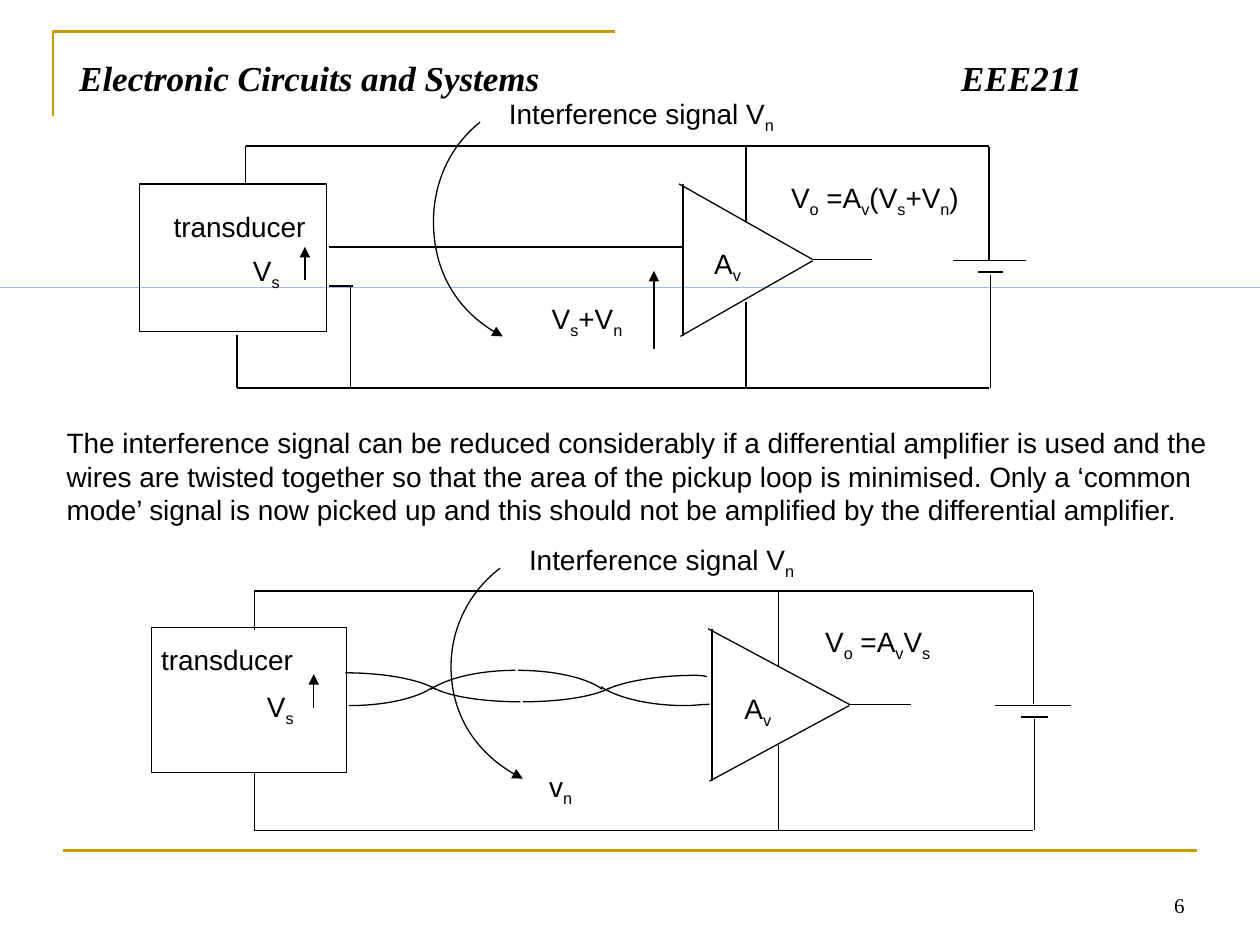
import pptx
import pptx.util
import pptx.dml.color
import pptx.enum.shapes
import pptx.enum.text
import pptx.oxml
import pptx.oxml.ns
from pptx.util import Inches

INK = "000000"
GOLD = "CC9900"
BODY = (
    "The interference signal can be reduced considerably if a differential amplifier is used "
    "and the wires are twisted together so that the area of the pickup loop is minimised. "
    "Only a ‘common mode’ signal is now picked up and this should not be amplified by the "
    "differential amplifier."
)
LOOPS = [
    {
        "top": 1.16, "bot": 3.08, "box": (1.11, 1.46, 1.48, 1.17),
        "leads": (1.95, 1.88, 2.66), "amp": (5.42, 6.45), "out": 6.92,
        "feed": 5.92, "cell": (7.85, 0.29, 0.1),
        "wires": [(5.42, 1.96, 2.61, 1.96), (2.61, 2.27, 2.8, 2.27), (2.78, 2.28, 2.78, 3.08)],
        "arrows": [(2.42, 2.22, 2.42, 1.96), (5.19, 2.77, 5.19, 2.15)],
        "sweep": [(3.81, 0.97), (3.57, 1.16), (3.44, 1.45), (3.44, 1.76),
                  (3.44, 2.15), (3.65, 2.5), (3.99, 2.67)],
        "twists": [],
        "labels": [
            ("transducer", 1.28, 1.61, 1.29), ("V|s", 1.91, 1.96, 0.47),
            ("Interference signal V|n", 3.94, 0.72, 2.44), ("V|s|+V|n", 4.28, 2.34, 0.9),
            ("V|o| =A|v|(V|s|+V|n|)", 6.18, 1.38, 1.89), ("A|v", 5.57, 1.91, 0.42),
        ],
    },
    {
        "top": 4.69, "bot": 6.59, "box": (1.2, 4.98, 1.55, 1.15),
        "leads": (2.02, 2.02, 6.13), "amp": (5.65, 6.74), "out": 7.23,
        "feed": 6.18, "cell": (8.2, 0.3, 0.11),
        "wires": [],
        "arrows": [(2.49, 5.62, 2.49, 5.35)],
        "sweep": [(3.97, 4.51), (3.72, 4.7), (3.58, 4.99), (3.58, 5.29),
                  (3.58, 5.67), (3.8, 6.01), (4.15, 6.18)],
        "twists": [
            [(2.77, 5.6), (3.06, 5.6), (3.32, 5.54), (3.44, 5.45)],
            [(4.11, 5.32), (4.4, 5.32), (4.66, 5.38), (4.78, 5.47)],
            [(4.09, 5.32), (3.81, 5.32), (3.55, 5.38), (3.42, 5.47)],
            [(5.63, 5.59), (5.57, 5.59), (5.51, 5.6), (5.44, 5.6),
             (5.16, 5.6), (4.9, 5.54), (4.77, 5.45)],
            [(2.74, 5.34), (3.04, 5.34), (3.32, 5.39), (3.46, 5.47)],
            [(4.15, 5.57), (4.44, 5.57), (4.71, 5.53), (4.84, 5.46)],
            [(4.13, 5.57), (3.84, 5.57), (3.57, 5.53), (3.44, 5.46)],
            [(5.61, 5.37), (5.57, 5.36), (5.54, 5.36), (5.51, 5.36),
             (5.22, 5.36), (4.95, 5.41), (4.82, 5.47)],
        ],
        "labels": [
            ("transducer", 1.18, 5.05, 1.35), ("V|s", 2.02, 5.42, 0.49),
            ("Interference signal V|n", 4.1, 4.26, 2.55), ("v|n", 4.26, 6.06, 0.81),
            ("V|o| =A|v|V|s", 6.45, 4.91, 1.98), ("A|v", 5.81, 5.44, 0.44),
        ],
    },
]

prs = pptx.Presentation()
prs.slide_width, prs.slide_height = Inches(10), Inches(7.5)
slide = prs.slides.add_slide(prs.slide_layouts[6])
shapes = slide.shapes


def color(code):
    return pptx.dml.color.RGBColor.from_string(code)


def add(parent, tag, **attrs):
    node = pptx.oxml.parse_xml(f"<a:{tag} {pptx.oxml.ns.nsdecls('a')}/>")
    for key, val in attrs.items():
        node.set(key, val)
    parent.append(node)
    return node


def stroke(shape, hue=INK, width=0.75, arrow=False):
    shape.line.color.rgb = color(hue)
    shape.line.width = pptx.util.Pt(width)
    if arrow:
        add(shape.line._get_or_add_ln(), "tailEnd", type="triangle")


def wire(x1, y1, x2, y2, **style):
    line = shapes.add_connector(
        pptx.enum.shapes.MSO_CONNECTOR.STRAIGHT, *map(Inches, (x1, y1, x2, y2)))
    stroke(line, **style)
    add(line._element.spPr, "effectLst")


def outline(points, curved=False, **style):
    spots = [(Inches(x), Inches(y)) for x, y in points]
    pen = shapes.build_freeform(*spots[0])
    pen.add_line_segments(spots[1:], close=False)
    shape = pen.convert_to_shape()
    shape.shadow.inherit = False
    shape.fill.background()
    stroke(shape, **style)
    if curved:
        track = shape._element.find(".//" + pptx.oxml.ns.qn("a:path"))
        steps = track.findall(pptx.oxml.ns.qn("a:lnTo"))
        for i in range(0, len(steps), 3):
            bend = add(track, "cubicBezTo")
            for step in steps[i:i + 3]:
                bend.append(step[0])
                track.remove(step)


def block(x, y, wide, high, fill=None):
    shape = shapes.add_shape(
        pptx.enum.shapes.MSO_SHAPE.RECTANGLE, *map(Inches, (x, y, wide, high)))
    shape.shadow.inherit = False
    if fill:
        shape.fill.solid()
        shape.fill.fore_color.rgb = color(fill)
        shape.line.fill.background()
    else:
        shape.fill.background()
        stroke(shape)


def write(text, x, y, wide, high=0.32, size=16, face="Arial", bold=False,
          right=False, low=False, tab=None):
    frame = shapes.add_textbox(*map(Inches, (x, y, wide, high))).text_frame
    frame.word_wrap = True
    anchor = pptx.enum.text.MSO_ANCHOR
    frame.vertical_anchor = anchor.BOTTOM if low else anchor.TOP
    para = frame.paragraphs[0]
    if right:
        para.alignment = pptx.enum.text.PP_ALIGN.RIGHT
    if tab:
        stops = add(para._p.get_or_add_pPr(), "tabLst")
        add(stops, "tab", pos=str(Inches(tab)), algn="l")
    for i, part in enumerate(text.split("|")):
        if not part:
            continue
        run = para.add_run()
        run.text = part
        font = run.font
        font.name, font.size = face, pptx.util.Pt(size)
        font.bold = font.italic = bold
        font.color.rgb = color(INK)
        if i % 2:
            font._element.set("baseline", "-25000")


def draw(loop):
    top, bot, feed = loop["top"], loop["bot"], loop["feed"]
    back, tip = loop["amp"]
    cell, long, short = loop["cell"]
    up, down, start = loop["leads"]
    head, mid, foot = top + 0.3, top + 0.9, top + 1.51
    block(*loop["box"])
    wires = [
        (back, head, back, foot),
        (back - 0.03, head, tip, mid),
        (back - 0.02, foot, tip, mid + 0.01),
        (tip, mid, loop["out"], mid),
        (feed, mid - 0.3, feed, top),
        (feed, bot - 0.68, feed, bot),
        (up, top, cell, top),
        (up, top, up, top + 0.31),
        (down, start, down, bot),
        (down, bot, cell, bot),
        (cell, top + 0.01, cell, mid),
        (cell + long, mid + 0.01, cell - long, mid + 0.01),
        (cell + short + 0.01, mid + 0.1, cell - short + 0.01, mid + 0.1),
        (cell + 0.01, mid + 0.12, cell + 0.01, bot),
    ]
    for ends in wires + loop["wires"]:
        wire(*ends)
    for ends in loop["arrows"]:
        wire(*ends, arrow=True)
    outline(loop["sweep"], curved=True, arrow=True)
    for twist in loop["twists"]:
        outline(twist, curved=True)
    for label in loop["labels"]:
        write(*label)


outline([(0.42, 0.92), (0.42, 0.25), (4.88, 0.25)], hue=GOLD, width=1.5)
wire(0.5, 6.75, 9.5, 6.75, hue=GOLD, width=1.5)
write("6", 7.17, 6.83, 2.33, 0.5, size=12, face="Times New Roman", right=True, low=True)
block(0, 2.28, 10, 0, fill="0033CC")
for loop in LOOPS:
    draw(loop)
write(BODY, 0.43, 3.33, 9.31, 0.91)
write("Electronic Circuits and Systems\tEEE211", 0.53, 0.4, 8.92, 0.61,
      size=20, face="Times New Roman", bold=True, tab=7)
prs.save("out.pptx")
